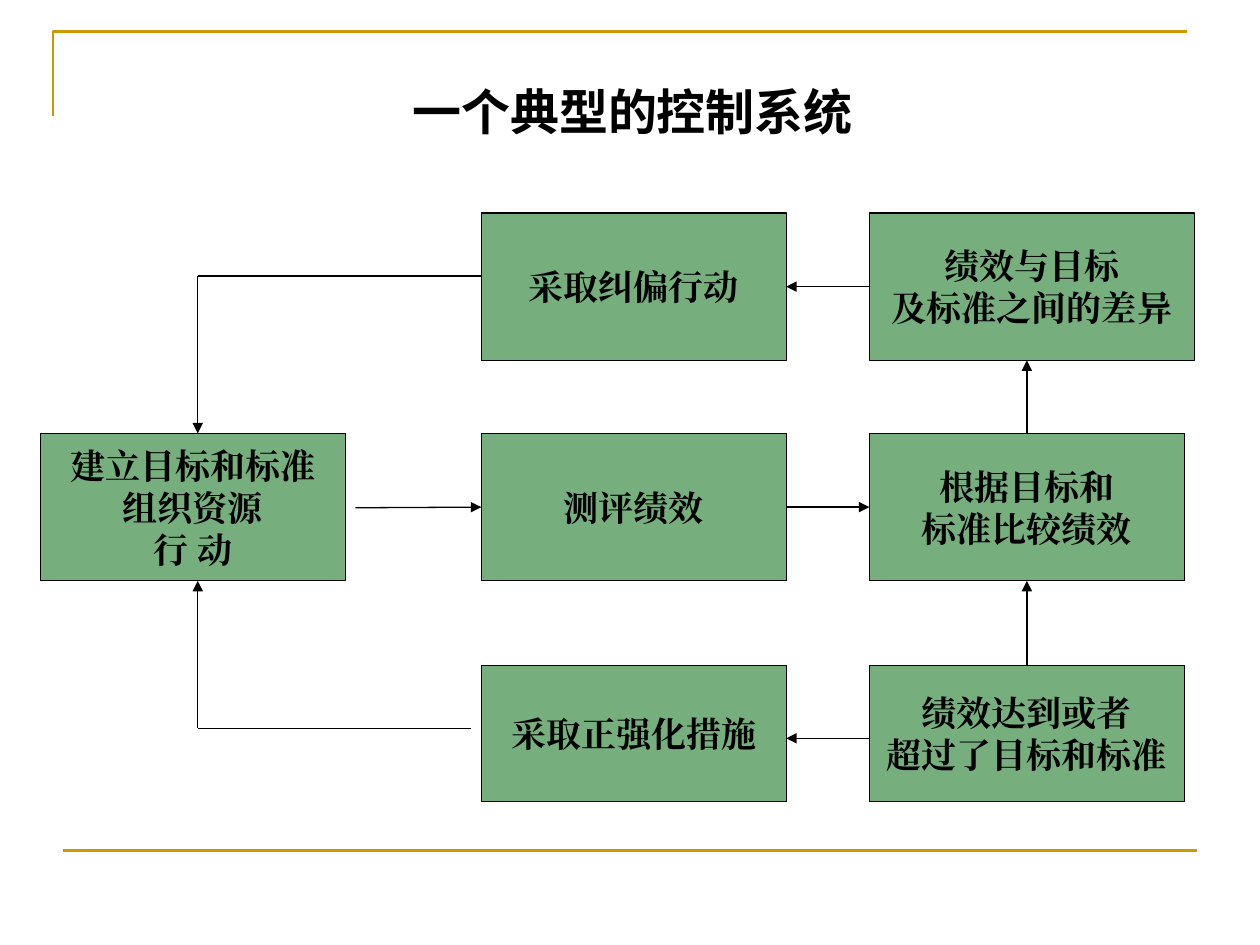
"""Build a slide showing a typical control system as a feedback flow chart."""
import pptx
import pptx.dml.color
import pptx.enum.shapes
import pptx.enum.text
import pptx.oxml
import pptx.oxml.ns
import pptx.util

Inches, Pt = pptx.util.Inches, pptx.util.Pt
ALIGN = pptx.enum.text.PP_ALIGN
ANCHOR = pptx.enum.text.MSO_ANCHOR
TOP, LEFT, BOTTOM, RIGHT = range(4)

BLACK, GOLD, GREEN = "000000", "CC9900", "76AE7D"
TITLE = "一个典型的控制系统"
TITLE_FONT = {"size": Pt(28), "name": "Montserrat", "bold": True}
BOX_FONT = {"size": Pt(20), "name": "Times New Roman", "bold": True}

COLUMNS = {"plan": (0.32, 2.42), "act": (3.82, 2.42), "judge": (6.9, 2.5)}
ROWS = {"upper": (1.69, 1.17), "middle": (3.44, 1.17), "lower": (5.28, 1.08)}
WIDER = {"gap": 0.08}
BOXES = [
    ("goals", "plan", "middle", ["建立目标和标准", "组织资源", "行 动"]),
    ("correct", "act", "upper", ["采取纠偏行动"]),
    ("measure", "act", "middle", ["测评绩效"]),
    ("reinforce", "act", "lower", ["采取正强化措施"]),
    ("gap", "judge", "upper", ["绩效与目标", "及标准之间的差异"]),
    ("compare", "judge", "middle", ["根据目标和", "标准比较绩效"]),
    ("achieved", "judge", "lower", ["绩效达到或者", "超过了目标和标准"]),
]
LINES = [
    ((2.82, 4.03), (3.82, 4.03), True, None, ("measure", LEFT)),
    ((6.24, 4.03), (6.9, 4.03), True, ("measure", RIGHT), ("compare", LEFT)),
    ((8.15, 5.28), (8.15, 4.61), True, ("achieved", TOP), ("compare", BOTTOM)),
    ((8.15, 3.44), (8.15, 2.86), True, ("compare", TOP), None),
    ((6.9, 2.28), (6.24, 2.28), True, ("gap", LEFT), ("correct", RIGHT)),
    ((6.9, 5.86), (6.24, 5.86), True, None, None),
    ((3.82, 2.19), (1.57, 2.19), False, None, None),
    ((3.74, 5.78), (1.57, 5.78), False, None, None),
    ((1.57, 5.78), (1.57, 4.61), True, None, None),
    ((1.57, 2.19), (1.57, 3.44), True, None, None),
]


def rgb(value):
    return pptx.dml.color.RGBColor.from_string(value)


def add_xml(parent, tag, **attrs):
    el = pptx.oxml.parse_xml(f"<a:{tag} {pptx.oxml.ns.nsdecls('a')}/>")
    for name, value in attrs.items():
        el.set(name, value)
    parent.append(el)


def set_line(sp, color, width):
    sp.line.color.rgb = rgb(color)
    sp.line.width = Pt(width)


def write(tf, lines, font, **frame):
    for name, value in frame.items():
        setattr(tf, name, value)
    for i, line in enumerate(lines):
        p = tf.paragraphs[0] if i == 0 else tf.add_paragraph()
        p.alignment = ALIGN.CENTER
        r = p.add_run()
        r.text = line
        for name, value in font.items():
            setattr(r.font, name, value)
        r.font.color.rgb = rgb(BLACK)
        add_xml(r.font._element, "ea", typeface=font["name"])


def add_line(s, start, end, color, width, arrow=False):
    sp = s.shapes.add_connector(
        pptx.enum.shapes.MSO_CONNECTOR.STRAIGHT, *map(Inches, start + end))
    set_line(sp, color, width)
    if arrow:
        add_xml(sp.line._get_or_add_ln(), "tailEnd", type="triangle")
    add_xml(sp._element.spPr, "effectLst")
    return sp


def add_frame(s):
    fb = s.shapes.build_freeform(Inches(0.42), Inches(0.92))
    corner = [(Inches(0.42), Inches(0.25)), (Inches(9.42), Inches(0.25))]
    fb.add_line_segments(corner, close=False)
    sp = fb.convert_to_shape()
    sp.shadow.inherit = False
    sp.fill.background()
    set_line(sp, GOLD, 1.5)
    add_line(s, (0.5, 6.75), (9.5, 6.75), GOLD, 1.5)


def add_box(s, name, column, row, lines):
    (x, w), (y, h) = COLUMNS[column], ROWS[row]
    sp = s.shapes.add_shape(
        pptx.enum.shapes.MSO_SHAPE.RECTANGLE,
        *map(Inches, (x, y, w + WIDER.get(name, 0), h)))
    sp.shadow.inherit = False
    sp.fill.solid()
    sp.fill.fore_color.rgb = rgb(GREEN)
    set_line(sp, BLACK, 0.75)
    write(sp.text_frame, lines, BOX_FONT,
          word_wrap=False, vertical_anchor=ANCHOR.MIDDLE)
    return sp


def main():
    prs = pptx.Presentation()
    prs.slide_width, prs.slide_height = Inches(10), Inches(7.5)
    s = prs.slides.add_slide(prs.slide_layouts[6])
    add_frame(s)
    title = s.shapes.add_textbox(*map(Inches, (0.52, 0.6, 9, 0.89)))
    write(title.text_frame, [TITLE], TITLE_FONT,
          word_wrap=True, vertical_anchor=ANCHOR.TOP)
    boxes = {box[0]: add_box(s, *box) for box in BOXES}
    for start, end, arrow, source, target in LINES:
        sp = add_line(s, start, end, BLACK, 0.75, arrow)
        if source:
            sp.begin_connect(boxes[source[0]], source[1])
        if target:
            sp.end_connect(boxes[target[0]], target[1])
    prs.save("out.pptx")


if __name__ == "__main__":
    main()
